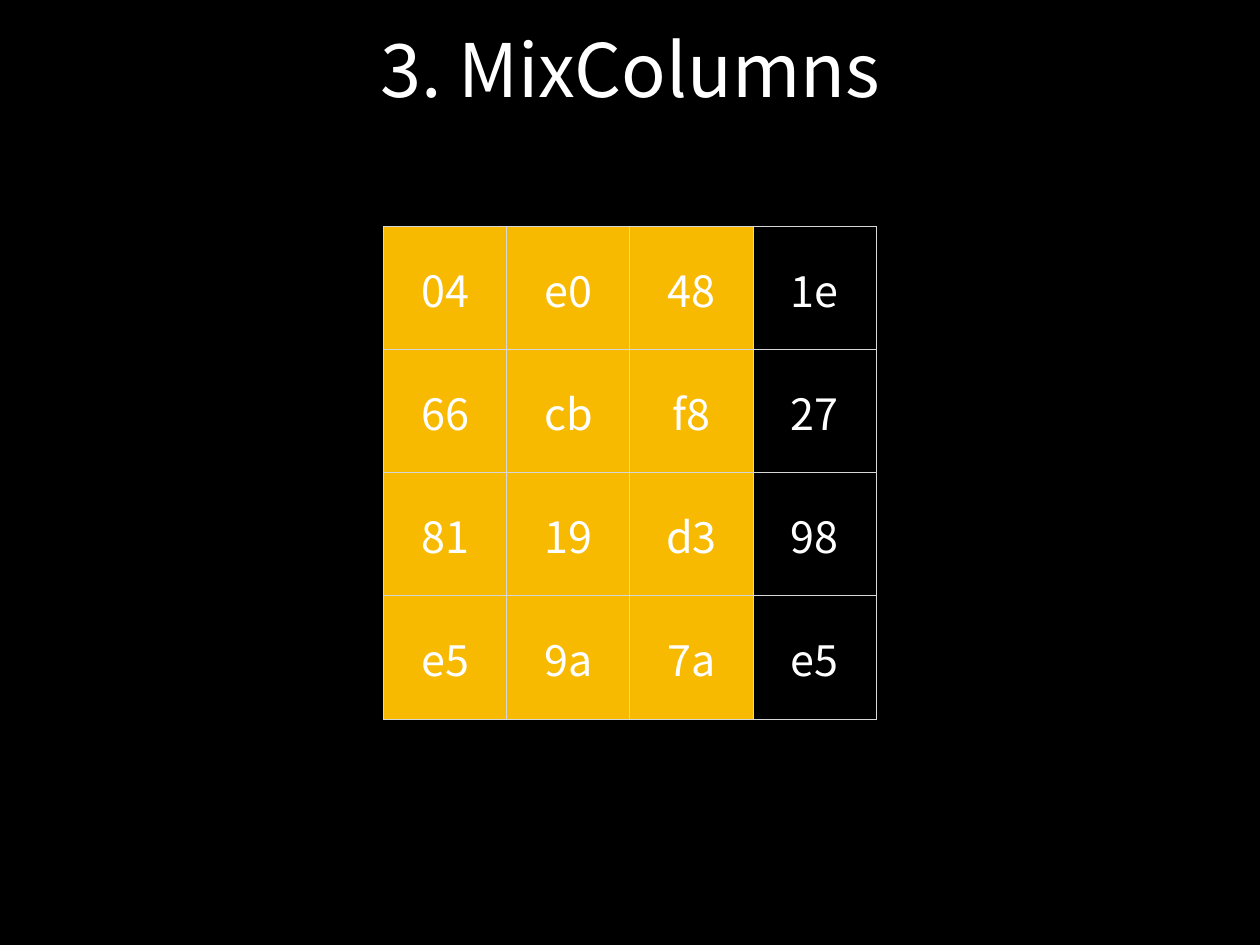
import pptx
import pptx.dml.color
import pptx.enum.text
import pptx.oxml.ns
import pptx.util
from lxml import etree
from pptx.util import Inches

WHITE = pptx.dml.color.RGBColor(0xFF, 0xFF, 0xFF)
BLACK = pptx.dml.color.RGBColor(0x00, 0x00, 0x00)
AMBER = pptx.dml.color.RGBColor(0xF8, 0xBA, 0x00)
GRID_GRAY = pptx.dml.color.RGBColor(0xD6, 0xD7, 0xD6)
FONT = "Noto Sans CJK KR"
INSET = Inches(0.06)
CELL_SIZE = Inches(1.39)
STATE = [
    ["04", "e0", "48", "1e"],
    ["66", "cb", "f8", "27"],
    ["81", "19", "d3", "98"],
    ["e5", "9a", "7a", "e5"],
]
HIGHLIGHTED_COLUMNS = 3


def write_centered(frame, text, size):
    paragraph = frame.paragraphs[0]
    paragraph.alignment = pptx.enum.text.PP_ALIGN.CENTER
    run = paragraph.add_run()
    run.text = text
    run.font.name = FONT
    run.font.size = pptx.util.Pt(size)
    run.font.color.rgb = WHITE


def set_insets(holder):
    holder.margin_left = holder.margin_right = INSET
    holder.margin_top = holder.margin_bottom = INSET
    holder.vertical_anchor = pptx.enum.text.MSO_ANCHOR.MIDDLE


def add_title(slide, text):
    title = slide.shapes.add_textbox(
        Inches(1.04), Inches(0.35), Inches(12.14), Inches(0.83)
    )
    title.text_frame.word_wrap = True
    set_insets(title.text_frame)
    write_centered(title.text_frame, text, 60)


def add_borders(cell):
    qn = pptx.oxml.ns.qn
    properties = cell._tc.get_or_add_tcPr()
    for side in ("lnL", "lnR", "lnT", "lnB"):
        border = etree.SubElement(properties, qn(f"a:{side}"), w=str(pptx.util.Pt(1)))
        fill = etree.SubElement(border, qn("a:solidFill"))
        etree.SubElement(fill, qn("a:srgbClr"), val=str(GRID_GRAY))


def fill_cell(cell, text, highlighted):
    set_insets(cell)
    add_borders(cell)
    if highlighted:
        cell.fill.solid()
        cell.fill.fore_color.rgb = AMBER
    else:
        cell.fill.background()
    write_centered(cell.text_frame, text, 35)


def add_state_matrix(slide, values):
    rows, columns = len(values), len(values[0])
    matrix = slide.shapes.add_table(
        rows, columns, Inches(4.33), Inches(2.56), CELL_SIZE * columns, CELL_SIZE * rows
    ).table
    matrix.first_row = False
    matrix.horz_banding = False
    for column in matrix.columns:
        column.width = CELL_SIZE
    for row in matrix.rows:
        row.height = CELL_SIZE
    for r, row_values in enumerate(values):
        for c, value in enumerate(row_values):
            fill_cell(matrix.cell(r, c), value, c < HIGHLIGHTED_COLUMNS)


def main():
    presentation = pptx.Presentation()
    presentation.slide_width = Inches(14.22)
    presentation.slide_height = Inches(10.67)
    slide = presentation.slides.add_slide(presentation.slide_layouts[6])
    slide.background.fill.solid()
    slide.background.fill.fore_color.rgb = BLACK
    add_title(slide, "3. MixColumns")
    add_state_matrix(slide, STATE)
    presentation.save("out.pptx")


if __name__ == "__main__":
    main()
